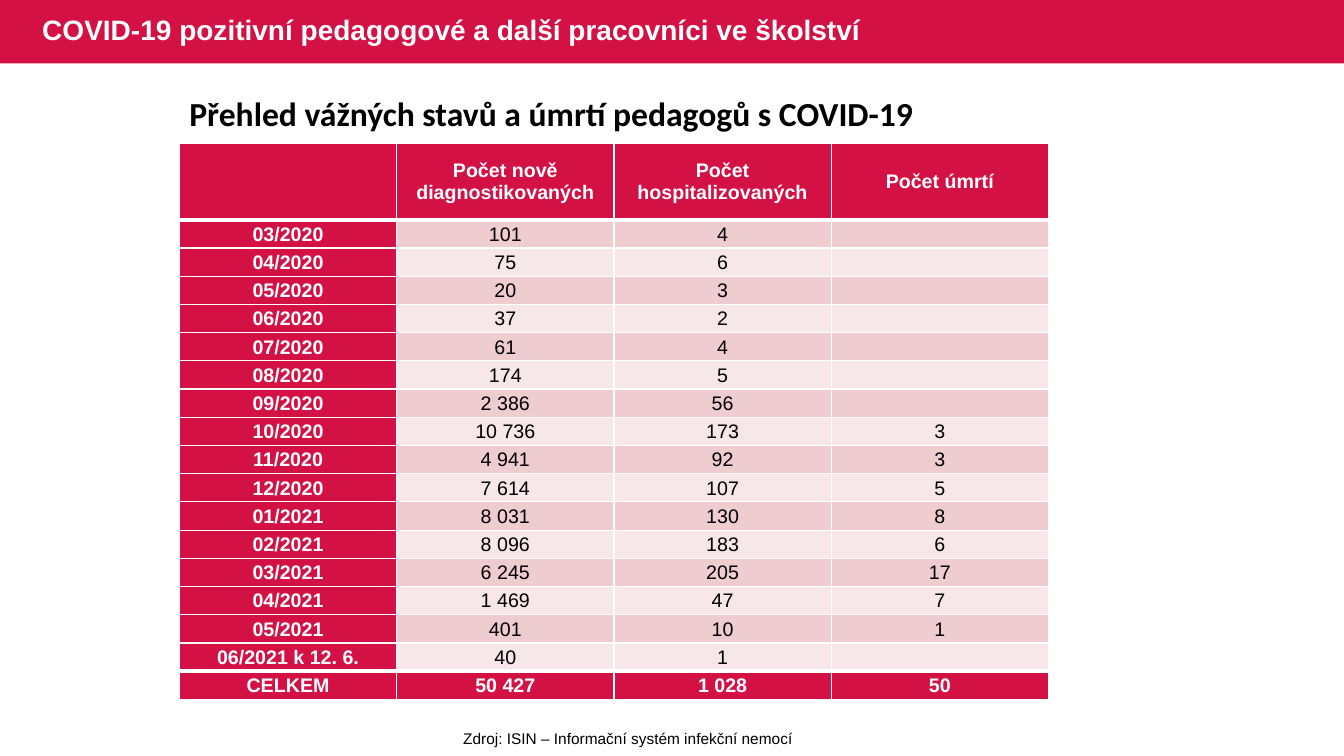
from lxml import etree
from pptx import Presentation
from pptx.dml.color import RGBColor
from pptx.enum.shapes import MSO_SHAPE
from pptx.enum.text import MSO_ANCHOR, PP_ALIGN
from pptx.oxml.ns import qn
from pptx.util import Inches, Pt

RECT = MSO_SHAPE.RECTANGLE
TOP, MIDDLE = MSO_ANCHOR.TOP, MSO_ANCHOR.MIDDLE
LEFT, CENTER = PP_ALIGN.LEFT, PP_ALIGN.CENTER
RED, WHITE, BLACK = "D31145", "FFFFFF", "000000"
BANDS = ["F7E7E9", "EFCCCF"]
W, H = 13.33, 7.5
BAR_H = 0.63
TABLE_X, TABLE_Y = 1.78, 1.42
COL_W, HEAD_H, ROW_H = 2.155, 0.76, 0.28

ROWS = [
    ["", "Počet nově diagnostikovaných", "Počet hospitalizovaných", "Počet úmrtí"],
    ["03/2020", "101", "4", ""],
    ["04/2020", "75", "6", ""],
    ["05/2020", "20", "3", ""],
    ["06/2020", "37", "2", ""],
    ["07/2020", "61", "4", ""],
    ["08/2020", "174", "5", ""],
    ["09/2020", "2 386", "56", ""],
    ["10/2020", "10 736", "173", "3"],
    ["11/2020", "4 941", "92", "3"],
    ["12/2020", "7 614", "107", "5"],
    ["01/2021", "8 031", "130", "8"],
    ["02/2021", "8 096", "183", "6"],
    ["03/2021", "6 245", "205", "17"],
    ["04/2021", "1 469", "47", "7"],
    ["05/2021", "401", "10", "1"],
    ["06/2021 k 12. 6.", "40", "1", ""],
    ["CELKEM", "50 427", "1 028", "50"],
]


def rgb(value):
    return RGBColor.from_string(value)


def write(tf, text, size=14, font="Arial", color=BLACK, bold=False,
          align=CENTER, anchor=TOP, spacing=None):
    tf.word_wrap = True
    tf.vertical_anchor = anchor
    p = tf.paragraphs[0]
    p.alignment = align
    p.line_spacing = spacing
    if not text:
        etree.SubElement(p._p, qn("a:endParaRPr"), sz=str(size * 100))
        return
    r = p.add_run()
    r.text = text
    r.font.size = Pt(size)
    r.font.name = font
    r.font.bold = bold
    r.font.color.rgb = rgb(color)


prs = Presentation()
prs.slide_width, prs.slide_height = Inches(W), Inches(H)
s = prs.slides.add_slide(prs.slide_layouts[6])

bar = s.shapes.add_shape(RECT, 0, 0, Inches(W), Inches(BAR_H))
bar.shadow.inherit = False
bar.fill.solid()
bar.fill.fore_color.rgb = rgb(RED)
bar.line.fill.background()

LABELS = [
    ((0.32, 0, 8.52, BAR_H), "COVID-19 pozitivní pedagogové a další pracovníci ve školství",
     dict(size=20, color=WHITE, bold=True, align=LEFT, anchor=MIDDLE, spacing=0.9)),
    ((TABLE_X, 0.87, 4 * COL_W, 0.91), "Přehled vážných stavů a úmrtí pedagogů s COVID-19",
     dict(size=24, font="Calibri", bold=True, align=LEFT)),
    ((2.36, 7.18, 7.74, 0.29), "Zdroj: ISIN – Informační systém infekční nemocí",
     dict(size=11)),
]
for box, text, style in LABELS:
    sp = s.shapes.add_textbox(*map(Inches, box))
    write(sp.text_frame, text, **style)

last = len(ROWS) - 1
table = s.shapes.add_table(len(ROWS), 4, Inches(TABLE_X), Inches(TABLE_Y),
                           Inches(4 * COL_W), Inches(HEAD_H + last * ROW_H)).table
for column in table.columns:
    column.width = Inches(COL_W)
for i, values in enumerate(ROWS):
    table.rows[i].height = Inches(ROW_H if i else HEAD_H)
    for j, text in enumerate(values):
        cell = table.cell(i, j)
        strong = i in (0, last) or j == 0
        cell.margin_left = cell.margin_right = cell.margin_top = Inches(0.01)
        cell.margin_bottom = 0
        write(cell.text_frame, text, color=WHITE if strong else BLACK, bold=strong)
        cell.vertical_anchor = MIDDLE
        tcPr = cell._tc.get_or_add_tcPr()
        widths = {"L": 1, "R": 1, "T": 3 if i in (1, last) else 1,
                  "B": 3 if i in (0, last - 1) else 1}
        for side, width in widths.items():
            ln = etree.SubElement(tcPr, qn(f"a:ln{side}"), w=str(Pt(width)))
            fill = etree.SubElement(ln, qn("a:solidFill"))
            etree.SubElement(fill, qn("a:srgbClr"), val=WHITE)
        cell.fill.solid()
        cell.fill.fore_color.rgb = rgb(RED if strong else BANDS[i % 2])

prs.save("out.pptx")
